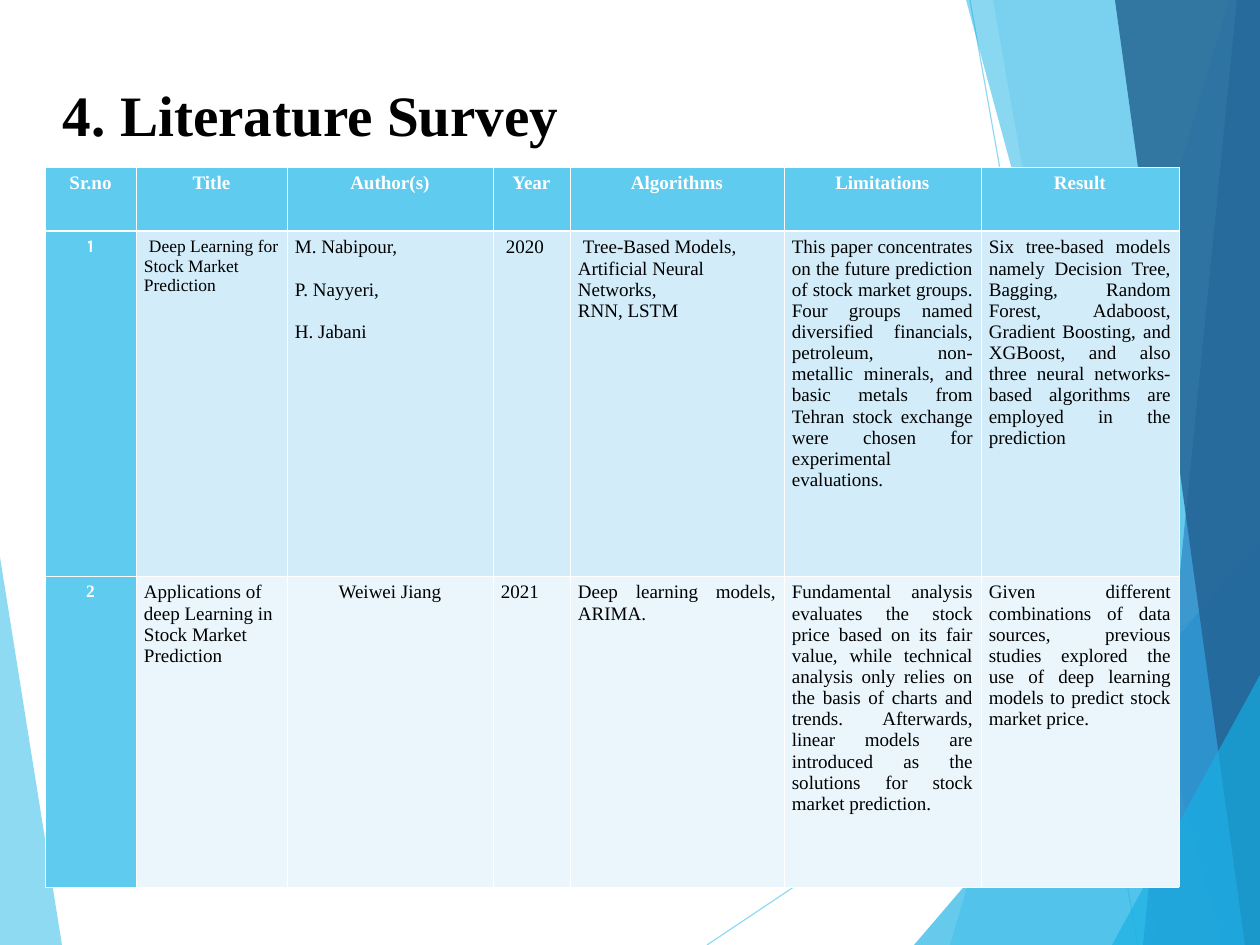
"""Build the literature survey slide: faceted background, title and table."""
from dataclasses import dataclass

from lxml.etree import SubElement
from pptx import Presentation
from pptx.dml.color import RGBColor
from pptx.enum.shapes import MSO_CONNECTOR
from pptx.enum.text import MSO_ANCHOR, MSO_AUTO_SIZE, PP_ALIGN
from pptx.oxml.ns import qn
from pptx.util import Pt

SCALE = 8000
WIDTH, HEIGHT = 1260, 945
SERIF = "Times New Roman"
SKY, AZURE, WHITE, BLACK = "5FCBEF", "17B0E4", "FFFFFF", "000000"
LEFT, CENTER, JUSTIFY = PP_ALIGN.LEFT, PP_ALIGN.CENTER, PP_ALIGN.JUSTIFY

COLUMN_WIDTHS = [91, 151, 206, 77, 214, 197, 198]
ROW_HEIGHTS = [64, 345, 311]
ROW_TINTS = [SKY, "D2ECF9", "EAF6FC"]
THIN, THICK = 0.45, 1.47


@dataclass
class Entry:
    """Text of one table cell with its formatting."""
    lines: list
    align: PP_ALIGN = LEFT
    size: int = 12
    font: str = SERIF
    color: str = BLACK
    bold: bool = False
    indent: int = 0
    gap: float = 0


def heading(text, size=12, font=SERIF):
    """Return a bold white centred entry."""
    return Entry([text], CENTER, size, font, WHITE, True)


SURVEY = [
    [heading(name) for name in
     ("Sr.no", "Title", "Author(s)", "Year", "Algorithms", "Limitations", "Result")],
    [
        heading("1", 11, "Karla"),
        Entry(["Deep Learning for Stock Market Prediction"], size=11, indent=5),
        Entry(["M. Nabipour,", "P. Nayyeri,", "H. Jabani"], JUSTIFY, gap=13.3),
        Entry(["2020"], indent=5),
        Entry(["Tree-Based Models, Artificial Neural Networks,", "RNN, LSTM"], indent=5),
        Entry(["This paper concentrates on the future prediction of stock market "
               "groups. Four groups named diversified financials, petroleum, "
               "non-metallic minerals, and basic metals from Tehran stock exchange "
               "were chosen for experimental evaluations."], JUSTIFY),
        Entry(["Six tree-based models namely Decision Tree, Bagging, Random Forest, "
               "Adaboost, Gradient Boosting, and XGBoost, and also three neural "
               "networks-based algorithms are employed in the prediction"], JUSTIFY),
    ],
    [
        heading("2", 11),
        Entry(["Applications of deep Learning in Stock Market Prediction"]),
        Entry(["Weiwei Jiang"], CENTER),
        Entry(["2021"]),
        Entry(["Deep learning models, ARIMA."], JUSTIFY),
        Entry(["Fundamental analysis evaluates the stock price based on its fair "
               "value, while technical analysis only relies on the basis of charts "
               "and trends. Afterwards, linear models are introduced as the "
               "solutions for stock market prediction."], JUSTIFY),
        Entry(["Given different combinations of data sources, previous studies "
               "explored the use of deep learning models to predict stock market "
               "price."], JUSTIFY),
    ],
]


def px(length):
    """Convert pixels to EMU."""
    return length * SCALE


def rgb(code):
    """Convert a hex string to a colour."""
    return RGBColor.from_string(code)


def set_opacity(drawn, percent):
    """Apply an opacity to every colour of a shape."""
    for color in list(drawn._element.spPr.iter(qn("a:srgbClr"))):
        SubElement(color, qn("a:alpha")).set("val", str(percent * 1000))


def add_facet(slide, corners, color, opacity):
    """Add a translucent polygon."""
    builder = slide.shapes.build_freeform(*corners[0], scale=SCALE)
    builder.add_line_segments(corners[1:], close=True)
    facet = builder.convert_to_shape()
    facet.shadow.inherit = False
    facet.fill.solid()
    facet.fill.fore_color.rgb = rgb(color)
    facet.line.fill.background()
    set_opacity(facet, opacity)


def add_right_facet(slide, top_x, bottom_x, color, opacity):
    """Add a facet that fills the slide from a slanted edge to the right side."""
    corners = [(top_x, 0), (bottom_x, HEIGHT), (WIDTH, HEIGHT), (WIDTH, 0)]
    add_facet(slide, corners, color, opacity)


def add_corner_facet(slide, bottom_x, right_y):
    """Add a triangle in the bottom right corner."""
    corners = [(bottom_x, HEIGHT), (WIDTH, right_y), (WIDTH, HEIGHT)]
    add_facet(slide, corners, AZURE, 66)


def add_ray(slide, *ends):
    """Add a thin translucent line."""
    ray = slide.shapes.add_connector(MSO_CONNECTOR.STRAIGHT, *map(px, ends))
    ray.line.color.rgb = rgb(SKY)
    ray.line.width = Pt(0.75)
    set_opacity(ray, 70)
    SubElement(ray._element.spPr, qn("a:effectLst"))


def add_background(slide):
    """Draw the facets and rays from back to front."""
    add_facet(slide, [(0, 557), (62, HEIGHT), (0, HEIGHT)], SKY, 70)
    add_ray(slide, 707, HEIGHT, WIDTH, 575)
    add_ray(slide, 970, 0, 1138, HEIGHT)
    add_right_facet(slide, 1229, 950, SKY, 36)
    add_right_facet(slide, 993, 1159, SKY, 20)
    add_corner_facet(slide, 914, 541)
    add_right_facet(slide, 966, 1222, AZURE, 50)
    add_right_facet(slide, 1237, 1143, "2E83C3", 70)
    add_right_facet(slide, 1115, 1245, "236292", 82)
    add_corner_facet(slide, 1112, 675)


def add_run(paragraph, text, size, font, color, bold):
    """Add one formatted run."""
    run = paragraph.add_run()
    run.text = text
    run.font.size = Pt(size)
    run.font.name = font
    run.font.color.rgb = rgb(color)
    run.font.bold = bold


def set_title(slide, text):
    """Place and fill the title placeholder."""
    title = slide.shapes.title
    title.left, title.top, title.width, title.height = map(px, (63, 37, 1134, 158))
    frame = title.text_frame
    frame.word_wrap = True
    frame.auto_size = MSO_AUTO_SIZE.NONE
    frame.vertical_anchor = MSO_ANCHOR.MIDDLE
    frame.margin_left = frame.margin_right = frame.margin_bottom = 0
    frame.margin_top = px(3)
    paragraph = frame.paragraphs[0]
    paragraph.alignment = LEFT
    paragraph.line_spacing = 0.93
    add_run(paragraph, text, 36, SERIF, BLACK, True)


def set_borders(cell, top, bottom):
    """Give a cell white borders, with the top and bottom widths in points."""
    properties = cell._tc.get_or_add_tcPr()
    sides = {"L": THIN, "R": THIN, "T": top, "B": bottom}
    for place, (side, width) in enumerate(sides.items()):
        border = SubElement(properties, qn(f"a:ln{side}"), w=str(Pt(width)))
        fill = SubElement(border, qn("a:solidFill"))
        SubElement(fill, qn("a:srgbClr"), val=WHITE)
        properties.insert(place, border)


def fill_cell(cell, entry, tint):
    """Write an entry into a cell."""
    cell.fill.solid()
    cell.fill.fore_color.rgb = rgb(tint)
    cell.margin_left = cell.margin_right = px(8)
    cell.margin_top = cell.margin_bottom = px(6)
    for number, line in enumerate(entry.lines):
        frame = cell.text_frame
        paragraph = frame.add_paragraph() if number else frame.paragraphs[0]
        paragraph.alignment = entry.align
        if number:
            paragraph.space_before = Pt(entry.gap)
        elif entry.indent:
            paragraph._p.get_or_add_pPr().set("indent", str(px(entry.indent)))
        add_run(paragraph, line, entry.size, entry.font, entry.color, entry.bold)


def add_survey(slide):
    """Add the survey table."""
    place = map(px, (45, 167, sum(COLUMN_WIDTHS), sum(ROW_HEIGHTS)))
    table = slide.shapes.add_table(len(ROW_HEIGHTS), len(COLUMN_WIDTHS), *place).table
    table.horz_banding = False
    for column, width in zip(table.columns, COLUMN_WIDTHS):
        column.width = px(width)
    for row, height in enumerate(ROW_HEIGHTS):
        table.rows[row].height = px(height)
        for column, entry in enumerate(SURVEY[row]):
            cell = table.cell(row, column)
            fill_cell(cell, entry, ROW_TINTS[row] if column else SKY)
            set_borders(cell, THICK if row == 1 else THIN, THICK if row == 0 else THIN)


def main():
    """Build and save the slide."""
    deck = Presentation()
    deck.slide_width, deck.slide_height = px(WIDTH), px(HEIGHT)
    slide = deck.slides.add_slide(deck.slide_layouts[5])
    add_background(slide)
    set_title(slide, "4. Literature Survey")
    add_survey(slide)
    deck.save("out.pptx")


if __name__ == "__main__":
    main()
